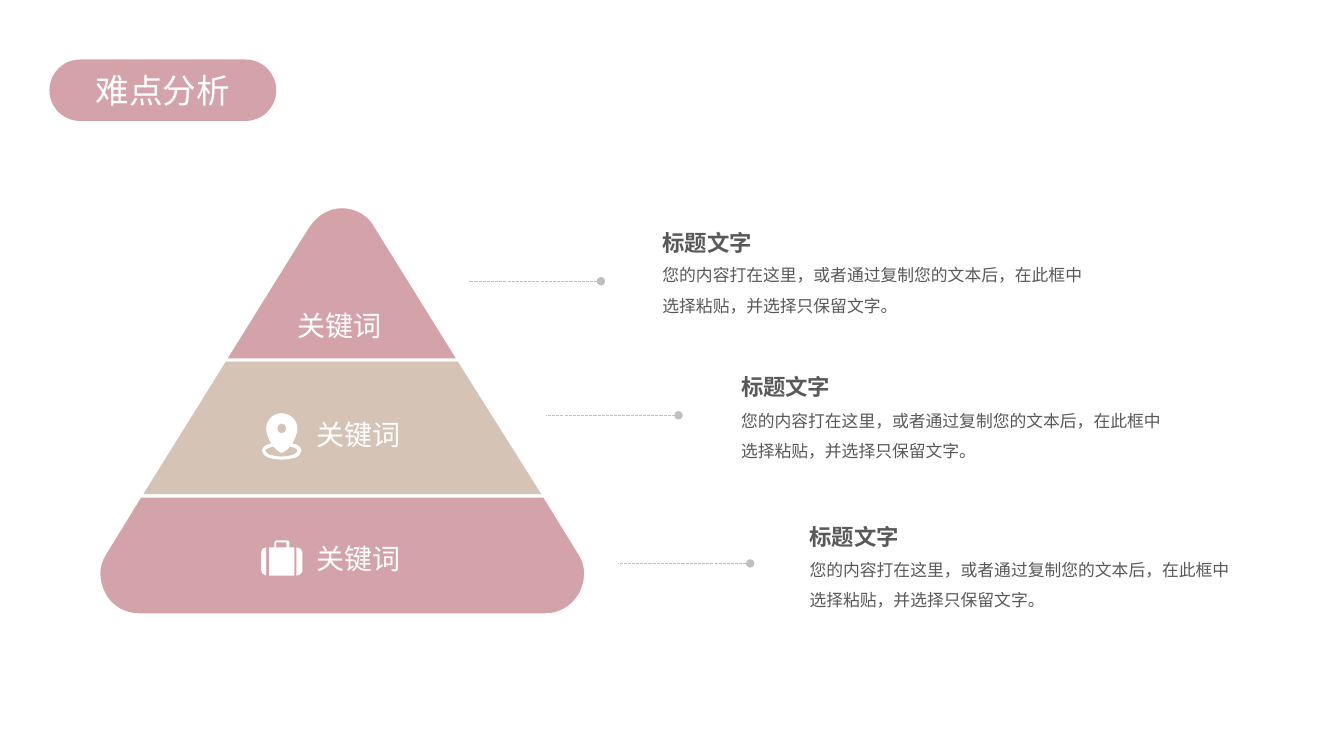
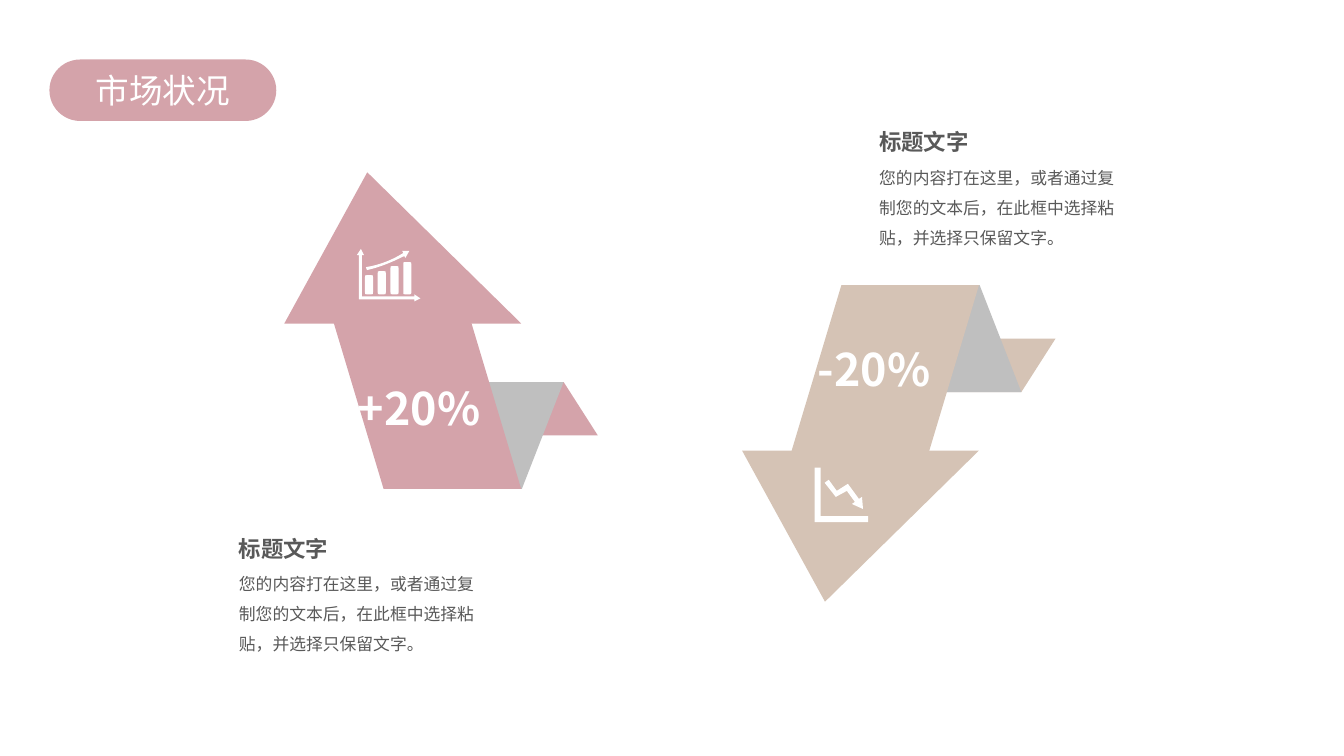
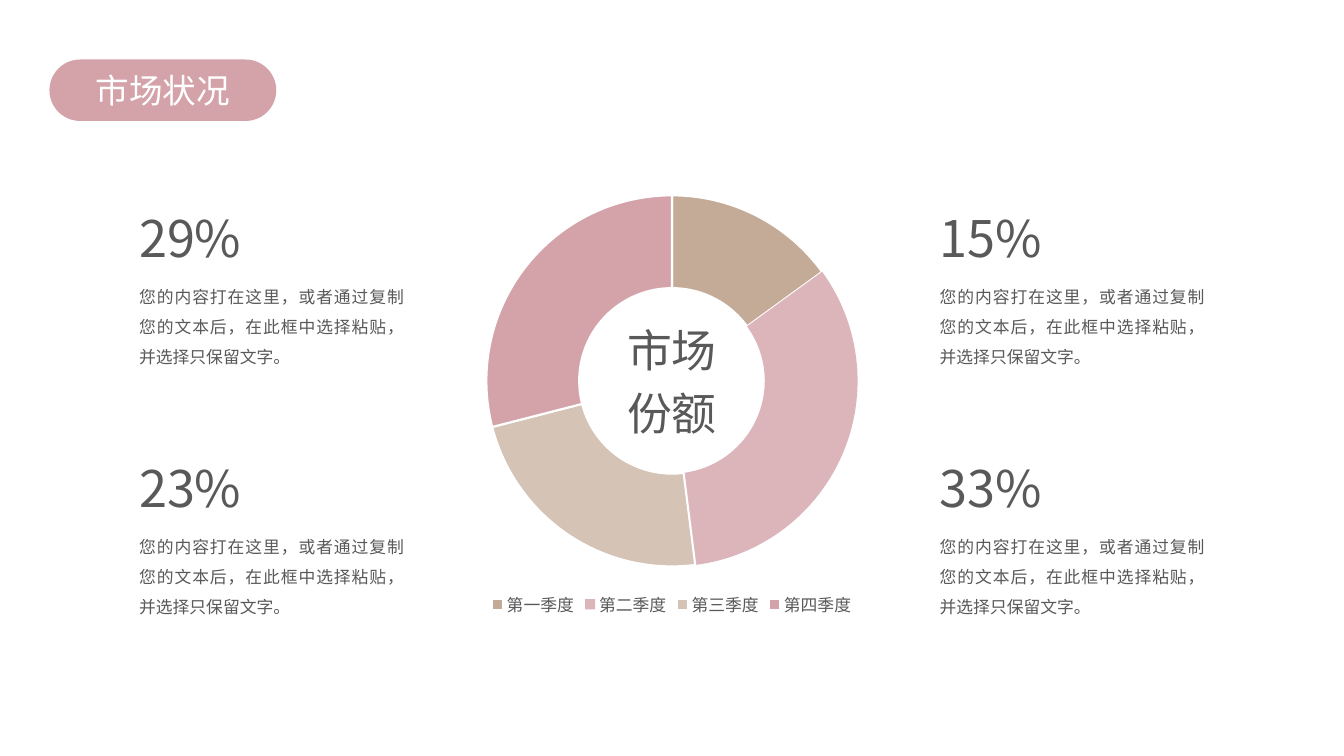
from lxml.etree import SubElement
from pptx import Presentation
from pptx.chart.data import CategoryChartData
from pptx.dml.color import RGBColor
from pptx.enum.chart import XL_CHART_TYPE as ChartType, XL_LEGEND_POSITION as LegendPosition
from pptx.enum.dml import MSO_LINE as Dash
from pptx.enum.shapes import MSO_CONNECTOR as Connector, MSO_SHAPE as Preset
from pptx.enum.text import MSO_ANCHOR as Anchor, MSO_AUTO_SIZE as AutoSize, PP_ALIGN as Align
from pptx.oxml.ns import qn
from pptx.util import Inches, Pt

FONT = "Noto Sans CJK SC"
ROSE = RGBColor(0xD4, 0xA3, 0xAA)
SAND = RGBColor(0xD5, 0xC3, 0xB5)
TAN = RGBColor(0xC4, 0xAB, 0x98)
SILVER = RGBColor(0xBF, 0xBF, 0xBF)
INK = RGBColor(0x59, 0x59, 0x59)
WHITE = RGBColor(0xFF, 0xFF, 0xFF)

COLUMNS, ROWS = 13.33, 7.5
CELL = Inches(1)

HEADING = "标题文字"
DESCRIPTION = "您的内容打在这里，或者通过复制您的文本后，在此框中选择粘贴，并选择只保留文字。"
KEYWORD = "关键词"

PYRAMID_TOP = [
    (3.39, 2.05), (3.54, 2.05, 3.67, 2.13, 3.73, 2.25), (4.55, 3.57), (2.23, 3.57),
    (3.05, 2.25), (3.13, 2.13, 3.25, 2.05, 3.39, 2.05),
]
PYRAMID_MIDDLE = [(2.23, 3.57), (4.55, 3.57), (5.4, 4.92), (1.39, 4.92)]
PYRAMID_BASE = [
    (1.39, 4.92), (5.4, 4.92), (5.75, 5.49),
    (5.79, 5.55, 5.81, 5.62, 5.81, 5.69), (5.81, 5.76, 5.79, 5.83, 5.76, 5.89),
    (5.68, 6.03, 5.55, 6.1, 5.41, 6.1), (1.38, 6.1), (1.24, 6.1, 1.1, 6.03, 1.03, 5.89),
    (1, 5.83, 0.98, 5.76, 0.98, 5.69), (0.98, 5.62, 1, 5.55, 1.04, 5.49),
]
MAP_PIN = [
    [(2.9, 4.4), (2.9, 4.39, 2.91, 4.38, 2.91, 4.38), (2.93, 4.34, 2.95, 4.29, 2.95, 4.25),
     (2.95, 4.17, 2.88, 4.1, 2.79, 4.1), (2.71, 4.1, 2.64, 4.17, 2.64, 4.25),
     (2.64, 4.3, 2.66, 4.35, 2.69, 4.4), (2.63, 4.41, 2.6, 4.44, 2.6, 4.47),
     (2.6, 4.5, 2.62, 4.52, 2.66, 4.54), (2.7, 4.55, 2.74, 4.56, 2.79, 4.56),
     (2.84, 4.56, 2.89, 4.55, 2.93, 4.54), (2.97, 4.52, 2.99, 4.5, 2.99, 4.47),
     (2.99, 4.44, 2.96, 4.41, 2.9, 4.4)],
    [(2.79, 4.2), (2.82, 4.2, 2.84, 4.23, 2.84, 4.25), (2.84, 4.28, 2.82, 4.3, 2.79, 4.3),
     (2.77, 4.3, 2.75, 4.28, 2.75, 4.25), (2.75, 4.23, 2.77, 4.2, 2.79, 4.2)],
    [(2.91, 4.51), (2.88, 4.52, 2.84, 4.53, 2.79, 4.53), (2.75, 4.53, 2.71, 4.52, 2.67, 4.51),
     (2.65, 4.5, 2.63, 4.48, 2.63, 4.47), (2.63, 4.46, 2.66, 4.44, 2.71, 4.43),
     (2.75, 4.47, 2.78, 4.49, 2.78, 4.49), (2.8, 4.49), (2.8, 4.49, 2.82, 4.48, 2.85, 4.46),
     (2.86, 4.45, 2.87, 4.44, 2.87, 4.43), (2.93, 4.44, 2.95, 4.46, 2.95, 4.47),
     (2.95, 4.48, 2.94, 4.5, 2.91, 4.51)],
]
SUITCASE_LEFT = [
    [(2.59, 5.48), (2.59, 5.66), (2.59, 5.68, 2.61, 5.71, 2.64, 5.71), (2.64, 5.43),
     (2.61, 5.43, 2.59, 5.45, 2.59, 5.48)],
]
SUITCASE_BODY = [
    [(2.87, 5.38), (2.87, 5.37, 2.86, 5.36, 2.84, 5.36), (2.74, 5.36),
     (2.73, 5.36, 2.72, 5.37, 2.72, 5.38), (2.72, 5.43), (2.67, 5.43), (2.67, 5.71),
     (2.92, 5.71), (2.92, 5.43), (2.87, 5.43)],
    [(2.84, 5.43), (2.74, 5.43), (2.74, 5.38), (2.84, 5.38)],
]
SUITCASE_RIGHT = [
    [(2.94, 5.43), (2.94, 5.71), (2.97, 5.71, 3, 5.68, 3, 5.66), (3, 5.48),
     (3, 5.45, 2.97, 5.43, 2.94, 5.43)],
]
GROWTH_AXES_AND_TREND = [
    [(3.64, 2.68), (3.77, 2.65, 3.89, 2.6, 4.01, 2.54), (4.02, 2.56), (4.06, 2.49),
     (3.99, 2.49), (4, 2.51), (3.89, 2.58, 3.76, 2.63, 3.63, 2.65)],
    [(4.17, 2.96), (4.11, 2.92), (4.11, 2.94), (3.59, 2.94), (3.59, 2.53), (3.61, 2.53),
     (3.58, 2.47), (3.54, 2.53), (3.56, 2.53), (3.56, 2.97), (4.11, 2.97), (4.11, 2.99)],
]
DECLINE = [
    [(8.22, 4.76), (8.3, 4.87), (8.41, 4.8), (8.52, 4.95), (8.55, 4.93), (8.56, 5.05),
     (8.45, 5), (8.48, 4.98), (8.4, 4.87), (8.29, 4.93), (8.18, 4.79)],
    [(8.08, 4.64), (8.14, 4.64), (8.14, 5.12), (8.61, 5.12), (8.61, 5.18), (8.08, 5.18)],
]


def cells(*lengths):
    return [int(length * CELL) for length in lengths]


def write(frame, lines, size, color, bold=False, align=Align.LEFT, spacing=None):
    frame.word_wrap = True
    frame.text = "\n".join(lines)
    for index, paragraph in enumerate(frame.paragraphs):
        paragraph.alignment = align
        if spacing:
            paragraph.line_spacing = spacing
        if index:
            paragraph.space_before = Pt(size * 0.2)
        font = paragraph.font
        font.size, font.bold, font.name = Pt(size), bold, FONT
        font.color.rgb = color
        defaults = paragraph._p.pPr.find(qn("a:defRPr"))
        SubElement(defaults, qn("a:ea"), typeface=FONT)


def add_text(slide, area, lines, size, color=INK, **style):
    frame = slide.shapes.add_textbox(*cells(*area)).text_frame
    frame.margin_left = frame.margin_right = frame.margin_top = frame.margin_bottom = 0
    write(frame, lines, size, color, **style)
    frame.auto_size = AutoSize.SHAPE_TO_FIT_TEXT


def paint(shape, color, outline=None):
    shape.shadow.inherit = False
    shape.fill.solid()
    shape.fill.fore_color.rgb = color
    if outline:
        shape.line.color.rgb = outline
        shape.line.width = Pt(2.25)
    else:
        shape.line.fill.background()


def add_preset(slide, preset, area, color, adjustment, flips=""):
    shape = slide.shapes.add_shape(preset, *cells(*area))
    shape.adjustments[0] = adjustment
    paint(shape, color)
    for axis in flips:
        shape.element.spPr.xfrm.set("flip" + axis, "1")
    return shape


def bend_segments(shape, contours):
    outline = shape.element.spPr.find(".//" + qn("a:path"))
    steps = [step for contour in contours for step in contour]
    segments = [segment for segment in outline if segment.tag != qn("a:close")]
    for segment, step in zip(segments, steps):
        if len(step) == 2:
            continue
        curve = SubElement(outline, qn("a:cubicBezTo"))
        for x, y in zip(cells(*step[::2]), cells(*step[1::2])):
            SubElement(curve, qn("a:pt"), x=str(x - shape.left), y=str(y - shape.top))
        outline.replace(segment, curve)


def add_outline(slide, contours, color, outline=None):
    first, *others = [[cells(*step[-2:]) for step in contour] for contour in contours]
    builder = slide.shapes.build_freeform(*first[0], scale=1.0)
    builder.add_line_segments(first[1:], close=True)
    for points in others:
        builder.move_to(*points[0])
        builder.add_line_segments(points[1:], close=True)
    shape = builder.convert_to_shape()
    bend_segments(shape, contours)
    paint(shape, color, outline)


def rounded_bar(left, top, right, bottom, corner=0.02):
    return [
        (left, bottom - corner), (left, top + corner),
        (left, top, left, top, left + corner, top), (right - corner, top),
        (right, top, right, top, right, top + corner), (right, bottom - corner),
        (right, bottom, right, bottom, right - corner, bottom), (left + corner, bottom),
        (left, bottom, left, bottom, left, bottom - corner),
    ]


def add_leader(slide, dot_x, y):
    leader = slide.shapes.add_connector(Connector.STRAIGHT, *cells(dot_x, y, dot_x - 1.31, y))
    leader.line.color.rgb = SILVER
    leader.line.width = Pt(0.75)
    leader.line.dash_style = Dash.SQUARE_DOT
    SubElement(leader.line._get_or_add_ln(), qn("a:headEnd"), type="oval")
    SubElement(leader.element.spPr, qn("a:effectLst"))


def add_note(slide, x, y, heading_width, gap, width, height):
    add_text(slide, (x, y, heading_width, 0.27), [HEADING], 16, bold=True)
    add_text(slide, (x, y + gap, width, height), [DESCRIPTION], 12, spacing=1.5)


def add_titled_slide(deck, heading):
    slide = deck.slides.add_slide(deck.slide_layouts.get_by_name("Title Only"))
    pill = add_preset(slide, Preset.ROUNDED_RECTANGLE, (0.49, 0.59, 2.25, 0.61), ROSE, 0.5)
    title = slide.shapes.title
    title.left, title.top, title.width, title.height = cells(0.73, 0.64, 1.77, 0.5)
    write(title.text_frame, [heading], 24, WHITE, align=Align.CENTER)
    title.text_frame.auto_size = AutoSize.NONE
    title.text_frame.vertical_anchor = Anchor.MIDDLE
    pill.element.addnext(title.element)
    return slide


def build_difficulties(deck):
    slide = add_titled_slide(deck, "难点分析")
    for tier, color in ((PYRAMID_MIDDLE, SAND), (PYRAMID_TOP, ROSE), (PYRAMID_BASE, ROSE)):
        add_outline(slide, [tier], color, outline=WHITE)
    for x, y, gap, dot_x, dot_y in (
        (6.57, 2.27, 0.26, 5.96, 2.79),
        (7.35, 3.7, 0.27, 6.73, 4.12),
        (8.03, 5.19, 0.26, 7.44, 5.59),
    ):
        add_note(slide, x, y, 0.9, gap, 4.33, 0.61)
        add_leader(slide, dot_x, dot_y)
    for x, y, align in (
        (2.92, 3.06, Align.CENTER), (3.14, 4.14, Align.LEFT), (3.14, 5.37, Align.LEFT),
    ):
        add_text(slide, (x, y, 0.9, 0.34), [KEYWORD], 20, WHITE, align=align)
    for icon in (MAP_PIN, SUITCASE_LEFT, SUITCASE_BODY, SUITCASE_RIGHT):
        add_outline(slide, icon, WHITE)


def add_folded_arrow(slide, color, shift=0, pointing_down=False):
    for preset, x, y, width, height, fill, adjustment, flips in (
        (Preset.PARALLELOGRAM, 4.17, 3.79, 1.76, 0.53, color, 0.64, "H"),
        (Preset.PARALLELOGRAM, 3.83, 3.79, 1.76, 1.06, SILVER, 0.39, ""),
        (Preset.ISOSCELES_TRIANGLE, 2.82, 1.71, 2.35, 1.5, color, 0.65, "H"),
        (Preset.PARALLELOGRAM, 3.31, 3.2, 1.86, 1.65, color, 0.3, "H"),
    ):
        if pointing_down:
            y = 7.68 - y - height
            flips += "V"
        add_preset(slide, preset, (x + shift, y, width, height), fill, adjustment, flips)


def build_trends(deck):
    slide = add_titled_slide(deck, "市场状况")
    add_folded_arrow(slide, ROSE)
    add_folded_arrow(slide, SAND, shift=4.54, pointing_down=True)
    for x, y, gap, height in ((2.37, 5.31, 0.28, 0.91), (8.72, 1.27, 0.29, 0.87)):
        add_note(slide, x, y, 1.09, gap, 2.35, height)
    for x, y, change in ((3.55, 3.78, "+20%"), (8.11, 3.39, "-20%")):
        add_text(slide, (x, y, 1.61, 0.54), [change], 32, WHITE, bold=True)
    bars = []
    for index, top in enumerate((2.73, 2.69, 2.64, 2.6)):
        left = 3.62 + index * 0.38 / 3
        bars.append(rounded_bar(left, top, left + 0.08, 2.92))
    for icon in (bars + GROWTH_AXES_AND_TREND, DECLINE):
        add_outline(slide, icon, WHITE)


def add_share_ring(slide, area):
    shares = CategoryChartData()
    shares.categories = ["第一季度", "第二季度", "第三季度", "第四季度"]
    shares.add_series("Series 1", (15, 33, 23, 29))
    chart = slide.shapes.add_chart(ChartType.DOUGHNUT, *cells(*area), shares).chart
    chart.has_title = False
    chart.font.size, chart.font.name = Pt(12), FONT
    chart.has_legend = True
    chart.legend.position = LegendPosition.BOTTOM
    chart.legend.include_in_layout = False
    legend_font = chart.legend.font
    legend_font.size, legend_font.name = Pt(12), FONT
    legend_font.color.rgb = INK
    ring = chart.plots[0]
    ring._element.find(qn("c:holeSize")).set("val", "75")
    for index, color in enumerate((TAN, ROSE, SAND, ROSE)):
        sector = ring.series[0].points[index].format
        sector.fill.solid()
        sector.fill.fore_color.rgb = color
        if index == 1:
            sector.line.fill.background()
            tint = sector.fill._xPr.find(f"{qn('a:solidFill')}/{qn('a:srgbClr')}")
            SubElement(tint, qn("a:alpha"), val="80000")
        else:
            sector.line.color.rgb = WHITE
            sector.line.width = Pt(1.5)


def build_shares(deck):
    slide = add_titled_slide(deck, "市场状况")
    add_share_ring(slide, (3.03, 1.8, 7.27, 4.36))
    add_text(slide, (5.9, 3.2, 1.53, 1.18), ["市场", "份额"], 32, align=Align.CENTER)
    for x, column in ((1.38, ("29%", "23%")), (9.32, ("15%", "33%"))):
        for y, share in zip((2.05, 4.53), column):
            add_text(slide, (x, y, 1.26, 0.61), [share], 36)
            add_text(slide, (x, y + 0.69, 2.63, 0.87), [DESCRIPTION], 12,
                     align=Align.JUSTIFY, spacing=1.5)


def main():
    deck = Presentation()
    deck.slide_width, deck.slide_height = cells(COLUMNS, ROWS)
    build_difficulties(deck)
    build_trends(deck)
    build_shares(deck)
    deck.save("out.pptx")


if __name__ == "__main__":
    main()
